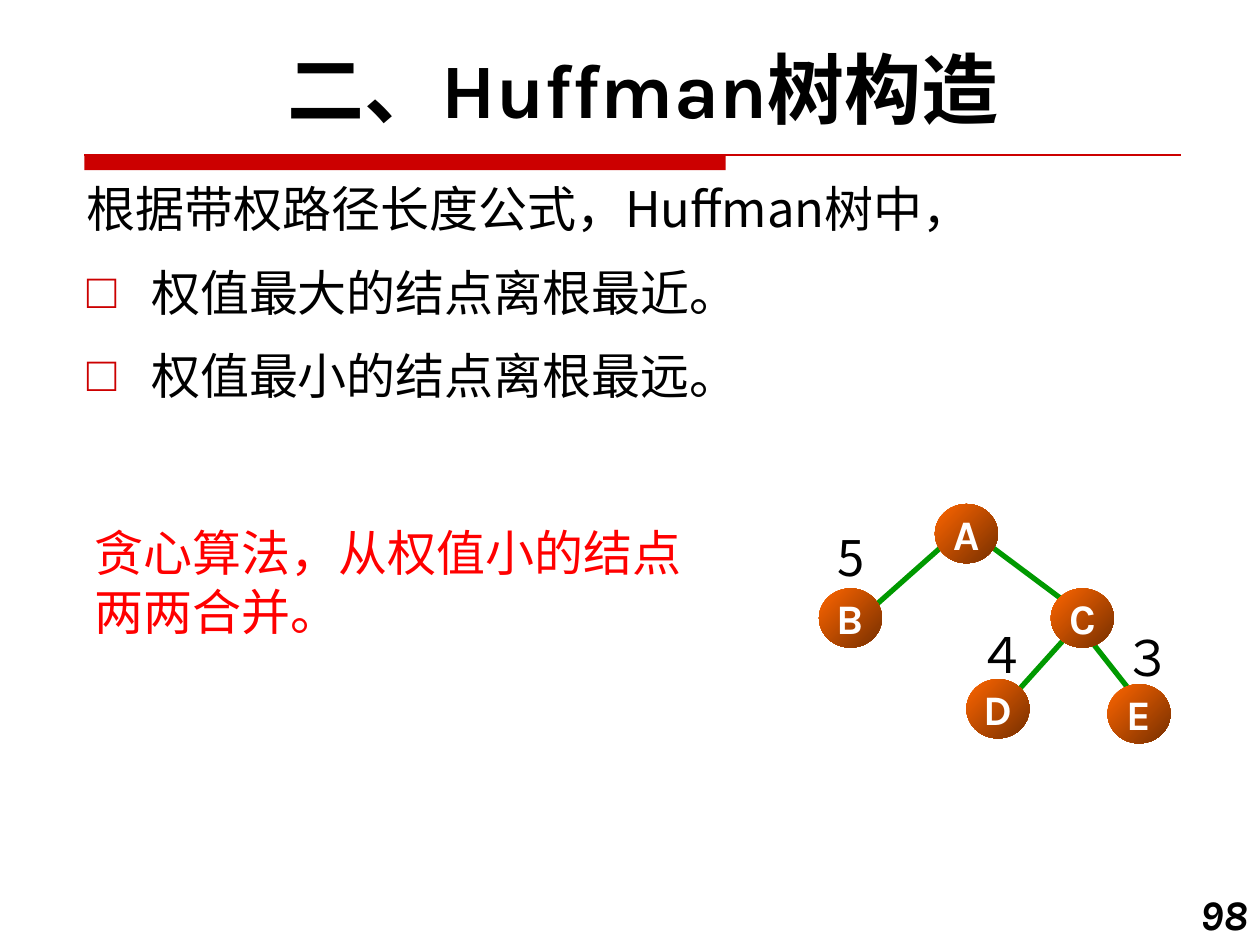
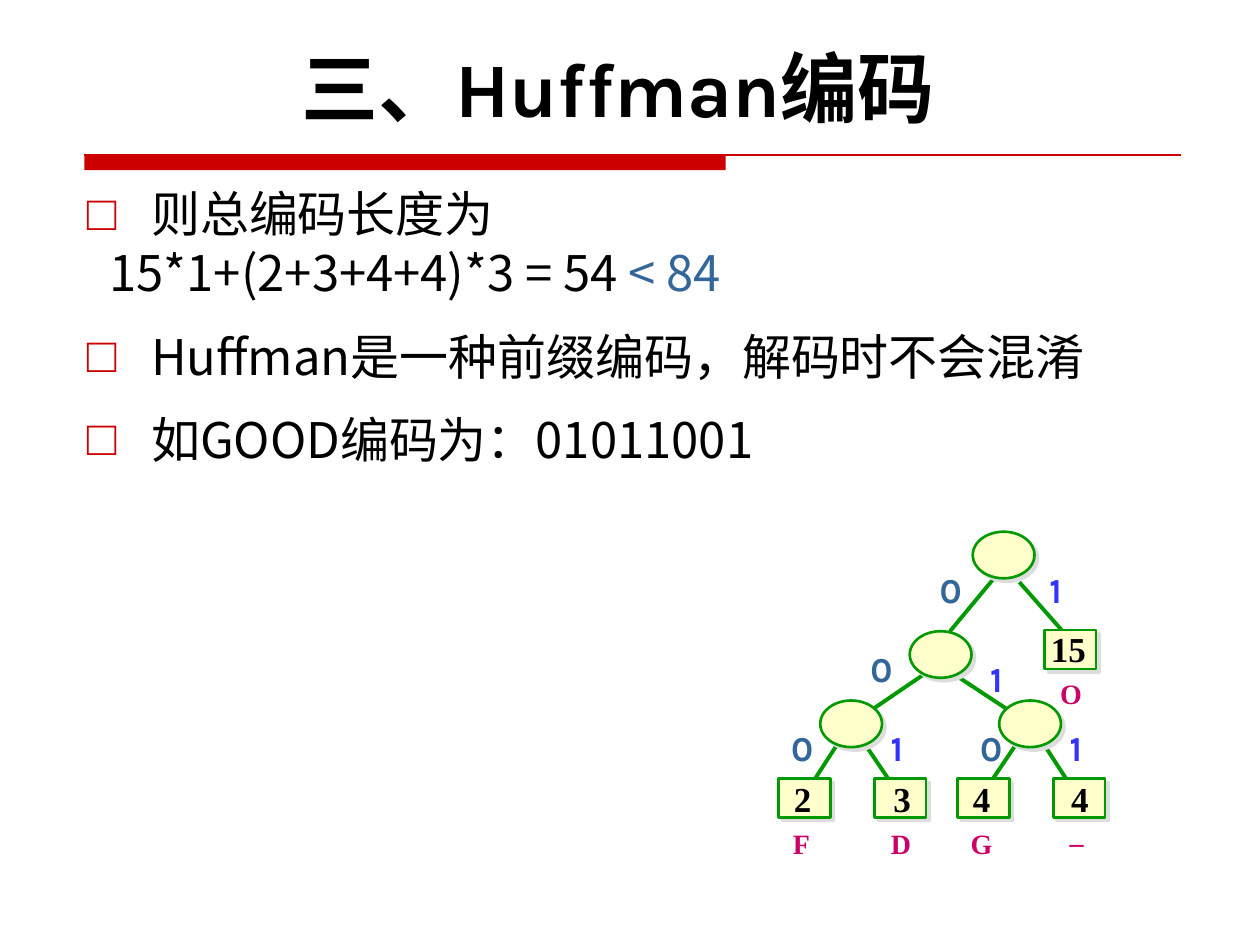
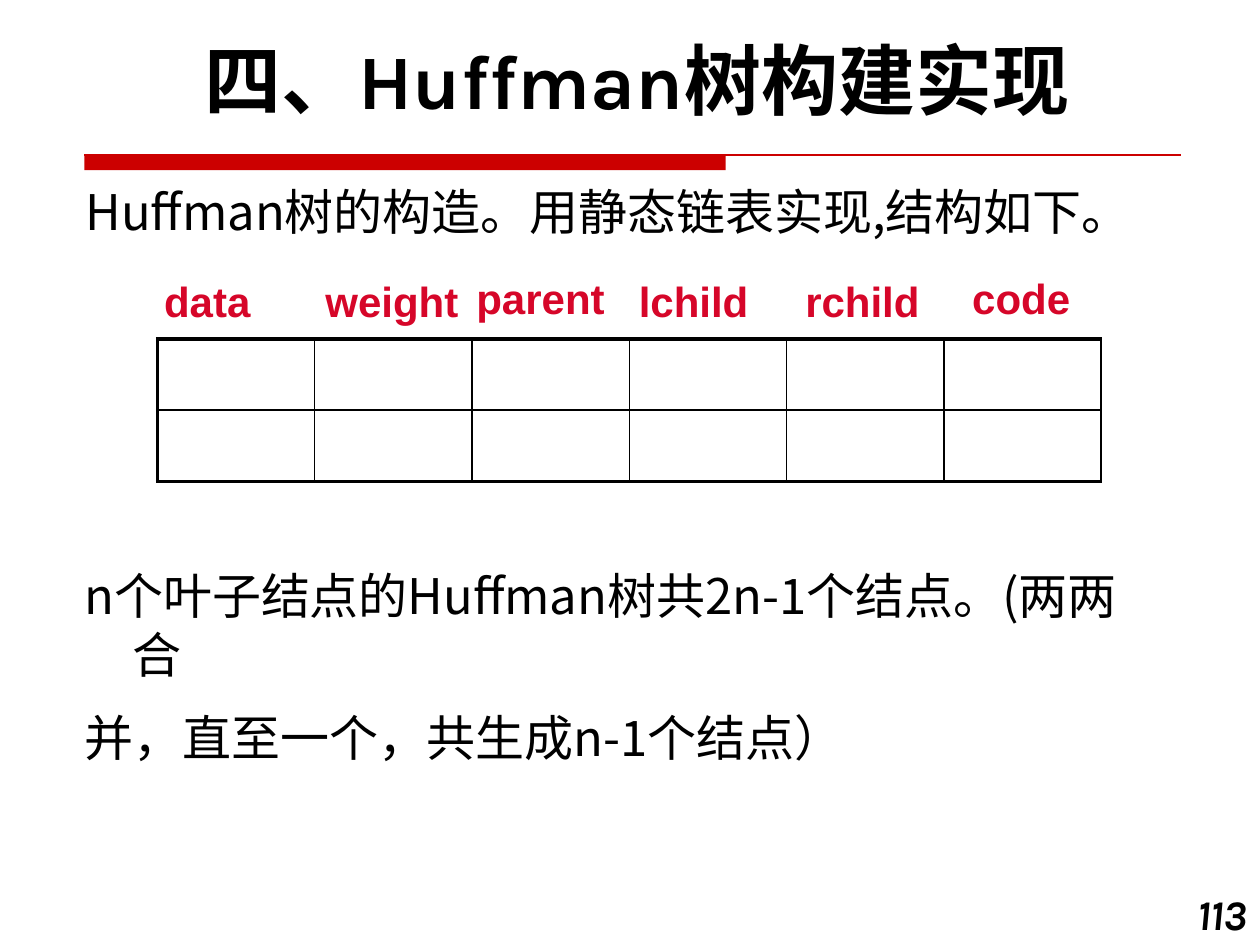
import pptx
import pptx.util
import pptx.dml.color
import pptx.enum.shapes
import pptx.enum.text
import pptx.oxml
import pptx.oxml.ns
import lxml.etree

SIZE = (10, 7.5)
INK, WHITE, RED, BAND = "000000", "FFFFFF", "FF0000", "CC0000"
GREEN, CREAM, GREY = "009900", "FFFFCC", "DDDDDD"
BLUE, BRIGHT, PINK, HEAD = "336699", "3333FF", "CC0066", "D60629"
SANS, KARLA, TIMES, ARIAL = "Noto Sans CJK SC", "Karla", "Times New Roman", "Arial"
RULE = (0.67, 1.23, 8.7)
BAR = (5.09, 0.12)
HANG = (0.51, -0.51)

PAGES = [
    dict(title="二、Huffman树构造", at=(0.48, 0.36, 9.25, 0.77), line=0.9, page="98",
         box=(0.59, 1.37, 9.58, 1.46),
         body=[dict(text="根据带权路径长度公式，Huffman树中，"),
               dict(text="权值最大的结点离根最近。", mark=True),
               dict(text="权值最小的结点离根最远。", mark=True)]),
    dict(title="三、Huffman编码", at=(0.28, 0.27, 9.25, 0.84), line=1, page=None,
         box=(0.59, 1.41, 10.16, 2.7),
         body=[dict(text="则总编码长度为", mark=True),
               dict(text=[("15*1+(2+3+4+4)*3 = 54 ", INK), ("< 84", BLUE)],
                    indent=(0.18, 0), gap=0),
               dict(text="Huffman是一种前缀编码，解码时不会混淆", mark=True),
               dict(text="如GOOD编码为：01011001", mark=True)]),
    dict(title="四、Huffman树构建实现", at=(0.43, 0.21, 9.25, 0.84), line=1, page="113",
         box=(0.57, 4.44, 8.74, 1.28),
         body=[dict(text="n个叶子结点的Huffman树共2n-1个结点。(两两合", indent=(0.38, -0.38)),
               dict(text="并，直至一个，共生成n-1个结点）", indent=(0.38, -0.38))]),
]

BALL = (0.5, 0.47)
BALLS = {"A": (7.42, 4), "B": (6.5, 4.67), "C": (8.34, 4.67),
         "D": (7.67, 5.39), "E": (8.79, 5.43)}
LINKS = [(7.79, 4.28, 8.42, 4.75), (7.54, 4.28, 6.92, 4.83),
         (8.54, 4.97, 8.09, 5.47), (8.59, 5, 8.96, 5.47)]
WEIGHTS = [("5", 6.59, 4.14), ("３", 8.92, 4.93), ("４", 7.76, 4.91)]
GREEDY = "贪心算法，从权值小的结点两两合并。"

KNOT, LEAF = (0.49, 0.37), (0.41, 0.31)
KNOTS = [(7.72, 4.22), (7.22, 5.01), (6.51, 5.56), (7.93, 5.56)]
LEAVES = [(8.29, 5), (6.18, 6.18), (6.94, 6.18), (7.6, 6.18), (8.36, 6.18)]
EDGES = [(8.09, 4.62, 8.54, 5.13), (7.93, 4.54, 7.54, 5.01),
         (7.54, 5.33, 8.01, 5.64), (7.38, 5.32, 6.91, 5.64),
         (8.26, 5.87, 8.5, 6.24), (8.09, 5.87, 7.84, 6.24),
         (6.84, 5.87, 7.09, 6.24), (6.67, 5.87, 6.43, 6.24)]
COUNTS = [("15", 8.24, 4.93, 0.48), ("2", 6.2, 6.12, 0.34), ("3", 6.99, 6.12, 0.34),
          ("4", 7.62, 6.12, 0.34), ("4", 8.4, 6.12, 0.34)]
CHARS = [("O", 8.31, 5.32, 0.38), ("F", 6.19, 6.51, 0.34), ("D", 6.97, 6.51, 0.36),
         ("G", 7.6, 6.51, 0.38), ("_", 8.39, 6.42, 0.31)]
BITS = {"0": (BLUE, [(7.36, 4.46), (6.81, 5.09), (6.18, 5.72), (7.68, 5.72)]),
        "1": (BRIGHT, [(8.23, 4.46), (7.76, 5.17), (6.97, 5.72), (8.39, 5.72)])}

INTRO = "Huffman树的构造。用静态链表实现,结构如下。"
GRID = (1.25, 2.69, 7.49, 1.13)
ROWS, COLS = 2, 6
FIELDS = [("data", 0.86, 2.14, 1.57), ("weight", 2.44, 2.14, 1.34),
          ("parent", 3.62, 2.11, 1.34), ("lchild", 4.72, 2.14, 1.57),
          ("rchild", 6.06, 2.14, 1.57), ("code", 7.32, 2.11, 1.57)]

ALIGN = dict(l=pptx.enum.text.PP_ALIGN.LEFT, c=pptx.enum.text.PP_ALIGN.CENTER,
             r=pptx.enum.text.PP_ALIGN.RIGHT)
KIND = pptx.enum.shapes.MSO_SHAPE


def inch(*nums):
    return [pptx.util.Inches(n) for n in nums]


def color(code):
    return pptx.dml.color.RGBColor.from_string(code)


def node(root, tag, **attrs):
    child = lxml.etree.SubElement(root, pptx.oxml.ns.qn(tag))
    for key, val in attrs.items():
        child.set(key, str(val))
    return child


def write(shape, text, size=28, face=SANS, ink=INK, bold=False, slant=False,
          align="l", line=1, mid=False, wrap=True, pad=0.1):
    frame = shape.text_frame
    frame.auto_size = pptx.enum.text.MSO_AUTO_SIZE.NONE
    frame.word_wrap = wrap
    anchor = pptx.enum.text.MSO_ANCHOR
    frame.vertical_anchor = anchor.MIDDLE if mid else anchor.TOP
    frame.margin_left = frame.margin_right = pptx.util.Inches(pad)
    frame.margin_top = frame.margin_bottom = pptx.util.Inches(0.05)
    items = [dict(text=text)] if isinstance(text, str) else text
    for i, item in enumerate(items):
        para = frame.add_paragraph() if i else frame.paragraphs[0]
        mark = item.get("mark", False)
        left, first = item.get("indent", HANG if mark else (0, 0))
        props = para._p.get_or_add_pPr()
        props.set("marL", str(pptx.util.Inches(left)))
        props.set("indent", str(pptx.util.Inches(first)))
        if mark:
            node(node(props, "a:buClr"), "a:srgbClr", val=BAND)
            node(props, "a:buFont", typeface=ARIAL)
            node(props, "a:buChar", char="□")
        else:
            node(props, "a:buNone")
        para.alignment = ALIGN[align]
        para.line_spacing = line
        para.space_before = pptx.util.Pt(item.get("gap", 14) if i else 0)
        runs = item["text"]
        for words, tint in [(runs, ink)] if isinstance(runs, str) else runs:
            run = para.add_run()
            run.text = words
            font = run.font
            font.size, font.name = pptx.util.Pt(size), face
            font.bold, font.italic = bold, slant
            font.color.rgb = color(tint)
            node(run._r.get_or_add_rPr(), "a:ea", typeface=SANS)


def label(home, box, text, **style):
    write(home.add_textbox(*inch(*box)), text, **style)


def draw(home, kind, spot, size, fill=None):
    shape = home.add_shape(kind, *inch(*spot, *size))
    shape.shadow.inherit = False
    shape.line.fill.background()
    if fill:
        shape.fill.solid()
        shape.fill.fore_color.rgb = color(fill)
    return shape


def link(home, ends, tint, width):
    wire = home.add_connector(pptx.enum.shapes.MSO_CONNECTOR.STRAIGHT, *inch(*ends))
    wire.line.color.rgb = color(tint)
    wire.line.width = pptx.util.Pt(width)
    node(wire.element.spPr, "a:effectLst")
    return wire


def band(deck, slide):
    left, top, width = RULE
    bar = draw(slide.shapes, KIND.RECTANGLE, (left, top), BAR, BAND)
    rule = link(slide.shapes, (left, top, left + width, top), BAND, 0.75)
    for part in (bar, rule):
        deck.slide_master.shapes.element.append(part.element)


def place(shape, box):
    shape.left, shape.top, shape.width, shape.height = inch(*box)


def start(deck, page):
    slide = deck.slides.add_slide(deck.slide_layouts[1])
    title, body = slide.placeholders
    place(title, page["at"])
    write(title, page["title"], size=44, face=KARLA, bold=True, align="c", line=page["line"])
    place(body, page["box"])
    write(body, page["body"])
    if page["page"]:
        label(slide.shapes, (9.33, 7, 0.67, 0.5), page["page"], size=24, face=KARLA,
              bold=True, slant=True, align="r")
    return slide


def greedy(slide):
    home = slide.shapes.add_group_shape().shapes
    for ends in LINKS:
        link(home, ends, GREEN, 3)
    for name, spot in BALLS.items():
        ball = draw(home, KIND.OVAL, spot, BALL)
        ball.fill.gradient()
        ball.fill.gradient_angle = 315
        for stop, tint in zip(ball.fill.gradient_stops, ("FF6600", "762F00")):
            stop.color.rgb = color(tint)
        write(ball, name, size=24, face=KARLA, ink=WHITE, bold=True, align="c",
              mid=True, wrap=False, pad=0)
    for text, left, top in WEIGHTS:
        label(home, (left, top, 0.33, 0.57), text, align="c", pad=0)
    label(slide.shapes, (0.65, 4.1, 5.21, 1.04), GREEDY, ink=RED)


def coding(slide):
    home = slide.shapes.add_group_shape().shapes
    for ends in EDGES:
        link(home, ends, GREEN, 2.25)
    for kind, spots, size in ((KIND.OVAL, KNOTS, KNOT), (KIND.RECTANGLE, LEAVES, LEAF)):
        for spot in spots:
            shape = draw(home, kind, spot, size, CREAM)
            shape.line.color.rgb = color(GREEN)
            shape.line.width = pptx.util.Pt(1.5)
            glow = shape.element.spPr.find(pptx.oxml.ns.qn("a:effectLst"))
            cast = node(glow, "a:outerShdw", dist=pptx.util.Pt(2.8), dir=45 * 60000,
                        algn="ctr", rotWithShape=0)
            node(cast, "a:srgbClr", val=GREY)
    for rows, size, ink, high in ((COUNTS, 20, INK, 0.43), (CHARS, 16, PINK, 0.37)):
        for text, left, top, width in rows:
            label(home, (left, top, width, high), text, size=size, face=TIMES, ink=ink,
                  bold=True, align="c", mid=True, wrap=False)
    for bit, (ink, spots) in BITS.items():
        for spot in spots:
            label(home, (*spot, 0.47, 0.43), bit, size=20, face=KARLA, ink=ink, bold=True)


def fields(slide):
    label(slide.shapes, (0.58, 1.39, 8.49, 0.57), INTRO, wrap=False)
    table = slide.shapes.add_table(ROWS, COLS, *inch(*GRID)).table
    table.first_row = table.horz_banding = False
    for row in range(ROWS):
        for col in range(COLS):
            cell = table.cell(row, col)
            props = cell._tc.get_or_add_tcPr()
            heavy = dict(L=col == 0, R=False, T=row == 0, B=row == ROWS - 1)
            for side, thick in heavy.items():
                edge = node(props, "a:ln" + side, w=pptx.util.Pt(2.25 if thick else 1))
                node(node(edge, "a:solidFill"), "a:srgbClr", val=INK)
            cell.fill.background()
    for text, left, top, width in FIELDS:
        label(slide.shapes, (left, top, width, 0.5), text, size=24, face=ARIAL,
              ink=HEAD, bold=True, align="c")


def main():
    deck = pptx.Presentation()
    deck.slide_width, deck.slide_height = inch(*SIZE)
    for page, fill in zip(PAGES, (greedy, coding, fields)):
        slide = start(deck, page)
        if page is PAGES[0]:
            band(deck, slide)
        fill(slide)
    deck.save("out.pptx")


if __name__ == "__main__":
    main()
